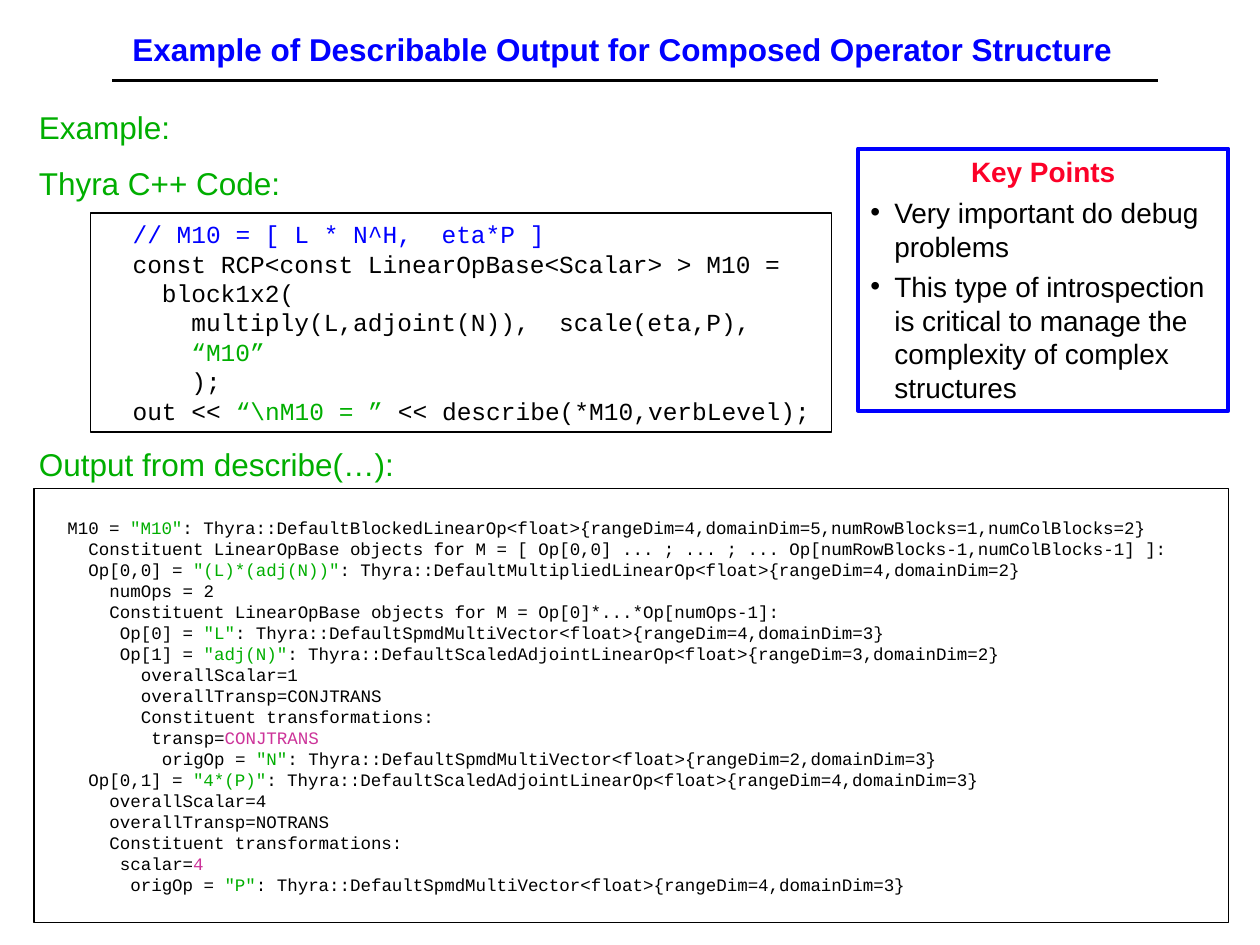
from dataclasses import dataclass

from lxml.etree import SubElement
from pptx import Presentation
from pptx.dml.color import RGBColor
from pptx.enum.shapes import MSO_CONNECTOR, MSO_SHAPE
from pptx.enum.text import MSO_ANCHOR, MSO_AUTO_SIZE, PP_ALIGN
from pptx.oxml.ns import qn
from pptx.util import Emu, Inches, Pt

COLUMNS, ROWS = 100, 75
CELL = Inches(0.1)
MONO_ADVANCE = 0.6  # character width as a share of the type size


@dataclass(frozen=True)
class Theme:
    sans: str = "Arial"
    mono: str = "Courier New"
    ink: RGBColor = RGBColor(0x00, 0x00, 0x00)
    blue: RGBColor = RGBColor(0x00, 0x00, 0xFF)
    green: RGBColor = RGBColor(0x00, 0xAE, 0x00)
    red: RGBColor = RGBColor(0xFC, 0x01, 0x28)
    purple: RGBColor = RGBColor(0xCC, 0x33, 0x99)
    heading: int = 18
    points: int = 16
    code: int = 14
    output: int = 10


THEME = Theme()


@dataclass(frozen=True)
class Area:
    """A rectangle in grid columns and rows."""
    left: float
    top: float
    width: float
    height: float

    def lengths(self) -> tuple:
        return tuple(grid(n) for n in (self.left, self.top, self.width, self.height))


@dataclass(frozen=True)
class Line:
    """A code line: indent in characters, then plain, accented and plain text."""
    indent: int
    before: str
    accent: str = ""
    after: str = ""
    color: RGBColor = THEME.green


@dataclass(frozen=True)
class Label:
    text: str
    area: Area


def grid(count: float) -> Emu:
    return Emu(round(count * CELL))


def set_font(font, name: str, size: int, color: RGBColor, bold: bool = False) -> None:
    font.name, font.size, font.bold = name, Pt(size), bold
    font.color.rgb = color


def set_indent(para, margin: int, first: int = 0) -> None:
    properties = para._p.get_or_add_pPr()
    properties.set("marL", str(int(margin)))
    properties.set("indent", str(int(first)))


def add_bullet(para, color: RGBColor) -> None:
    properties = para._p.get_or_add_pPr()
    bullet_color = SubElement(properties, qn("a:buClr"))
    SubElement(bullet_color, qn("a:srgbClr"), val=str(color))
    SubElement(properties, qn("a:buFont"), typeface=THEME.sans)
    SubElement(properties, qn("a:buChar"), char="•")


def add_frame(page, area: Area, color: RGBColor, weight: float):
    """Draw an unfilled outlined box and return its text frame."""
    box = page.shapes.add_shape(MSO_SHAPE.RECTANGLE, *area.lengths())
    box.shadow.inherit = False
    box.fill.background()
    box.line.color.rgb, box.line.width = color, Pt(weight)
    frame = box.text_frame
    frame.word_wrap, frame.vertical_anchor = True, MSO_ANCHOR.TOP
    return frame


def next_paragraph(frame, index: int):
    return frame.add_paragraph() if index else frame.paragraphs[0]


def add_title(page, text: str, area: Area) -> None:
    title = page.shapes.title
    title.left, title.top, title.width, title.height = area.lengths()
    frame = title.text_frame
    frame.text = text
    frame.auto_size, frame.vertical_anchor = MSO_AUTO_SIZE.NONE, MSO_ANCHOR.MIDDLE
    para = frame.paragraphs[0]
    para.alignment = PP_ALIGN.CENTER
    set_font(para.font, THEME.sans, THEME.heading, THEME.blue, bold=True)


def add_rule(page, left: float, right: float, row: float) -> None:
    rule = page.shapes.add_connector(
        MSO_CONNECTOR.STRAIGHT, grid(left), grid(row), grid(right), grid(row))
    rule.line.color.rgb, rule.line.width = THEME.ink, Pt(2)
    SubElement(rule._element.spPr, qn("a:effectLst"))


def add_label(page, label: Label) -> None:
    frame = page.shapes.add_textbox(*label.area.lengths()).text_frame
    frame.word_wrap = False
    para = frame.paragraphs[0]
    para.text = label.text
    set_font(para.font, THEME.sans, THEME.heading, THEME.green)


def add_listing(page, area: Area, lines: list[Line], size: int, top_inset: float) -> None:
    frame = add_frame(page, area, THEME.ink, 0.75)
    frame.margin_top = grid(top_inset)
    for index, line in enumerate(lines):
        para = next_paragraph(frame, index)
        para.alignment = PP_ALIGN.LEFT
        set_indent(para, Pt(line.indent * MONO_ADVANCE * size))
        set_font(para.font, THEME.mono, size, THEME.ink)
        for text, color in ((line.before, THEME.ink), (line.accent, line.color),
                            (line.after, THEME.ink)):
            if text:
                span = para.add_run()
                span.text = text
                set_font(span.font, THEME.mono, size, color)


def add_key_points(page, area: Area, heading: str, points: list[str]) -> None:
    frame = add_frame(page, area, THEME.blue, 2.25)
    for index, text in enumerate([heading, *points]):
        para = next_paragraph(frame, index)
        para.text = text
        para.space_after = Pt(4)
        set_indent(para, Inches(0.19), -Inches(0.19))
        if index:
            para.alignment = PP_ALIGN.LEFT
            set_font(para.font, THEME.sans, THEME.points, THEME.ink)
            add_bullet(para, THEME.ink)
        else:
            para.alignment = PP_ALIGN.CENTER
            set_font(para.font, THEME.sans, THEME.points, THEME.red, bold=True)


LABELS = [
    Label("Example:", Area(2.1, 8.1, 12.4, 4)),
    Label("Thyra C++ Code:", Area(2.1, 12.5, 21.2, 4)),
    Label("Output from describe(…):", Area(2.1, 34.8, 30.2, 4)),
]
CODE = [
    Line(2, "", "// M10 = [ L * N^H,  eta*P ]", color=THEME.blue),
    Line(2, "const RCP<const LinearOpBase<Scalar> > M10 ="),
    Line(4, "block1x2("),
    Line(6, "multiply(L,adjoint(N)),  scale(eta,P),"),
    Line(6, "", "“M10”"),
    Line(6, ");"),
    Line(2, "out << ", "“\\nM10 = ”", " << describe(*M10,verbLevel);"),
]
OUTPUT = [
    Line(2, "M10 = ", '"M10"', ": Thyra::DefaultBlockedLinearOp<float>"
         "{rangeDim=4,domainDim=5,numRowBlocks=1,numColBlocks=2}"),
    Line(4, "Constituent LinearOpBase objects for M = "
         "[ Op[0,0] ... ; ... ; ... Op[numRowBlocks-1,numColBlocks-1] ]:"),
    Line(4, "Op[0,0] = ", '"(L)*(adj(N))"',
         ": Thyra::DefaultMultipliedLinearOp<float>{rangeDim=4,domainDim=2}"),
    Line(6, "numOps = 2"),
    Line(6, "Constituent LinearOpBase objects for M = Op[0]*...*Op[numOps-1]:"),
    Line(7, "Op[0] = ", '"L"', ": Thyra::DefaultSpmdMultiVector<float>{rangeDim=4,domainDim=3}"),
    Line(7, "Op[1] = ", '"adj(N)"',
         ": Thyra::DefaultScaledAdjointLinearOp<float>{rangeDim=3,domainDim=2}"),
    Line(9, "overallScalar=1"),
    Line(9, "overallTransp=CONJTRANS"),
    Line(9, "Constituent transformations:"),
    Line(10, "transp=", "CONJTRANS", color=THEME.purple),
    Line(11, "origOp = ", '"N"', ": Thyra::DefaultSpmdMultiVector<float>{rangeDim=2,domainDim=3}"),
    Line(4, "Op[0,1] = ", '"4*(P)"',
         ": Thyra::DefaultScaledAdjointLinearOp<float>{rangeDim=4,domainDim=3}"),
    Line(6, "overallScalar=4"),
    Line(6, "overallTransp=NOTRANS"),
    Line(6, "Constituent transformations:"),
    Line(7, "scalar=", "4", color=THEME.purple),
    Line(8, "origOp = ", '"P"', ": Thyra::DefaultSpmdMultiVector<float>{rangeDim=4,domainDim=3}"),
]
POINTS = [
    "Very important do debug problems",
    "This type of introspection is critical to manage the complexity of complex structures",
]


def main() -> None:
    deck = Presentation()
    deck.slide_width, deck.slide_height = grid(COLUMNS), grid(ROWS)
    page = deck.slides.add_slide(deck.slide_layouts[5])

    # Heading
    add_rule(page, 8.9, 91.9, 6.4)
    add_title(page, "Example of Describable Output for Composed Operator Structure",
              Area(6.9, 1.4, 85, 4.9))
    # Section labels and listings
    for label in LABELS:
        add_label(page, label)
    add_listing(page, Area(7.2, 16.9, 58.8, 17.4), CODE, THEME.code, 0.5)
    add_listing(page, Area(2.7, 38.8, 94.8, 34.4), OUTPUT, THEME.output, 2.2)
    # Key points
    add_key_points(page, Area(68.1, 11.8, 29.4, 20.8), "Key Points", POINTS)
    deck.save("out.pptx")


if __name__ == "__main__":
    main()
